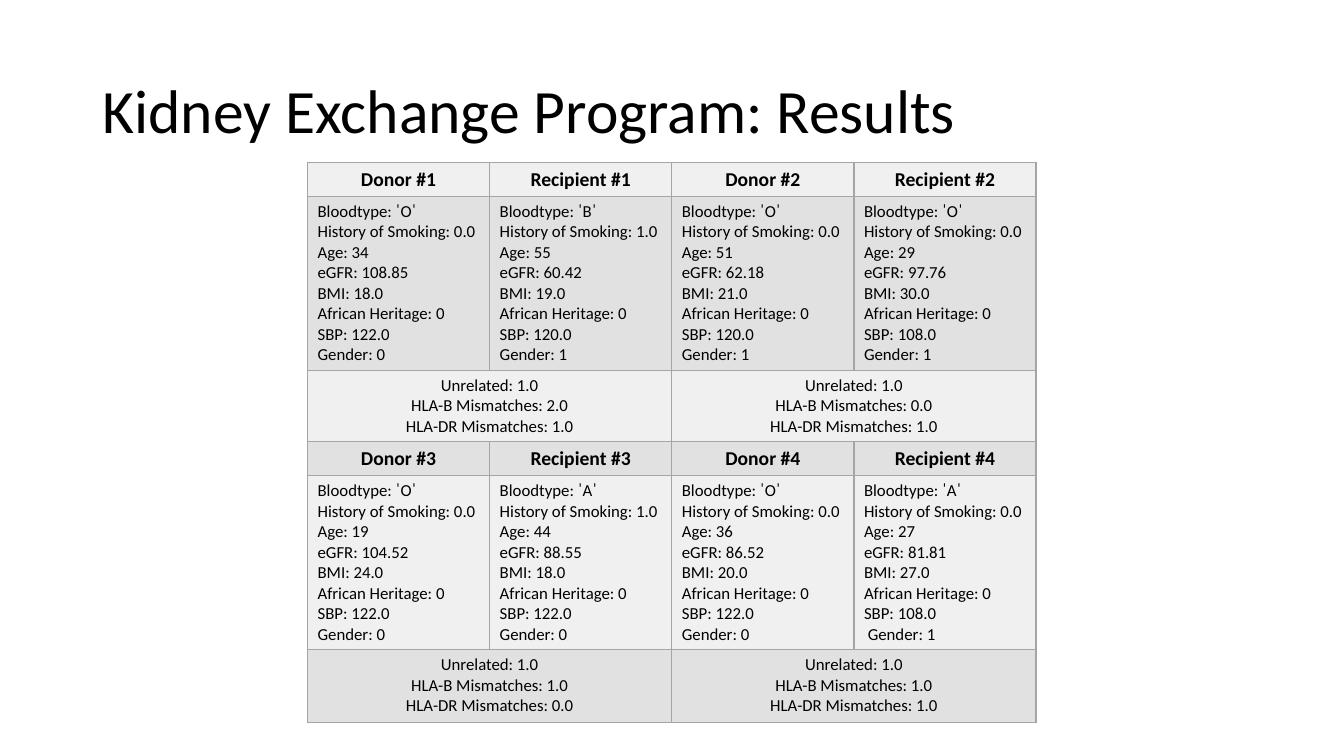
from pptx import Presentation
from pptx.dml.color import RGBColor
from pptx.enum.text import MSO_ANCHOR, MSO_AUTO_SIZE, PP_ALIGN
from pptx.oxml import parse_xml
from pptx.oxml.ns import nsdecls
from pptx.util import Cm, Pt

LEFT, CENTER = PP_ALIGN.LEFT, PP_ALIGN.CENTER
MIDDLE = MSO_ANCHOR.MIDDLE
NO_AUTOFIT = MSO_AUTO_SIZE.NONE
TITLE_ONLY = 5

FONT = "Calibri"
BLACK, BORDER = "000000", "A5A5A5"
BANDS = ("F0F0F0", "E1E1E1")

COLUMN_WIDTH = 4.59
ROW_HEIGHTS = (0.79, 4.29, 1.75, 0.81, 4.27, 1.83)

PERSON_LABELS = ("Bloodtype", "History of Smoking", "Age", "eGFR", "BMI",
                 "African Heritage", "SBP", "Gender")
MATCH_LABELS = ("Unrelated", "HLA-B Mismatches", "HLA-DR Mismatches")

# Each pair: donor values, recipient values, match values
PAIRS = (
    (("ˈOˈ", "0.0", "34", "108.85", "18.0", "0", "122.0", "0"),
     ("ˈBˈ", "1.0", "55", "60.42", "19.0", "0", "120.0", "1"),
     ("1.0", "2.0", "1.0")),
    (("ˈOˈ", "0.0", "51", "62.18", "21.0", "0", "120.0", "1"),
     ("ˈOˈ", "0.0", "29", "97.76", "30.0", "0", "108.0", "1"),
     ("1.0", "0.0", "1.0")),
    (("ˈOˈ", "0.0", "19", "104.52", "24.0", "0", "122.0", "0"),
     ("ˈAˈ", "1.0", "44", "88.55", "18.0", "0", "122.0", "0"),
     ("1.0", "1.0", "0.0")),
    (("ˈOˈ", "0.0", "36", "86.52", "20.0", "0", "122.0", "0"),
     ("ˈAˈ", "0.0", "27", "81.81", "27.0", "0", "108.0", "1"),
     ("1.0", "1.0", "1.0")),
)


def color(hex_string):
    return RGBColor.from_string(hex_string)


def format_text(text_frame, size, alignment, bold=False):
    for paragraph in text_frame.paragraphs:
        paragraph.alignment = alignment
        for run in paragraph.runs:
            run.font.name = FONT
            run.font.size = Pt(size)
            run.font.bold = bold
            run.font.color.rgb = color(BLACK)


def labelled_lines(labels, values):
    return "\n".join(f"{label}: {value}" for label, value in zip(labels, values))


def add_title(slide, text):
    title = slide.shapes.title
    title.left, title.top = Cm(2.33), Cm(1.01)
    title.width, title.height = Cm(29.21), Cm(3.68)
    text_frame = title.text_frame
    text_frame.text = text
    text_frame.auto_size = NO_AUTOFIT
    text_frame.vertical_anchor = MIDDLE
    text_frame.paragraphs[0].line_spacing = 0.9
    format_text(text_frame, 44, LEFT)


def style_cell(cell, fill):
    properties = cell._tc.get_or_add_tcPr()
    for side in ("lnL", "lnR", "lnT", "lnB"):
        properties.append(parse_xml(
            f'<a:{side} {nsdecls("a")} w="{Pt(1)}"><a:solidFill>'
            f'<a:srgbClr val="{BORDER}"/></a:solidFill></a:{side}>'))
    cell.fill.solid()
    cell.fill.fore_color.rgb = color(fill)


def fill_cell(cell, text, size, alignment, bold=False):
    cell.text_frame.text = text
    format_text(cell.text_frame, size, alignment, bold)


def add_results_table(slide):
    frame = slide.shapes.add_table(
        len(ROW_HEIGHTS), 4, Cm(7.75), Cm(4.09),
        Cm(4 * COLUMN_WIDTH), Cm(sum(ROW_HEIGHTS)))
    table = frame.table
    table.first_row = table.horz_banding = False
    for column in table.columns:
        column.width = Cm(COLUMN_WIDTH)

    # Banded rows
    for index, (row, height) in enumerate(zip(table.rows, ROW_HEIGHTS)):
        row.height = Cm(height)
        for cell in row.cells:
            style_cell(cell, BANDS[index % 2])

    # Two pairs side by side in each block of three rows
    for index, (donor, recipient, match) in enumerate(PAIRS):
        top, left = index // 2 * 3, index % 2 * 2
        people = (("Donor", donor), ("Recipient", recipient))
        for column, (role, values) in enumerate(people, left):
            fill_cell(table.cell(top, column), f"{role} #{index + 1}",
                      14, CENTER, True)
            fill_cell(table.cell(top + 1, column),
                      labelled_lines(PERSON_LABELS, values), 12, LEFT)
        match_cell = table.cell(top + 2, left)
        match_cell.merge(table.cell(top + 2, left + 1))
        fill_cell(match_cell, labelled_lines(MATCH_LABELS, match), 12, CENTER)

    # The last recipient's gender line is set in by one space
    gender_run = table.cell(4, 3).text_frame.paragraphs[-1].runs[0]
    gender_run.text = " " + gender_run.text


def main():
    presentation = Presentation()
    presentation.slide_width, presentation.slide_height = Cm(33.87), Cm(19.05)
    slide = presentation.slides.add_slide(
        presentation.slide_layouts[TITLE_ONLY])
    add_title(slide, "Kidney Exchange Program: Results")
    add_results_table(slide)
    presentation.save("out.pptx")


if __name__ == "__main__":
    main()
